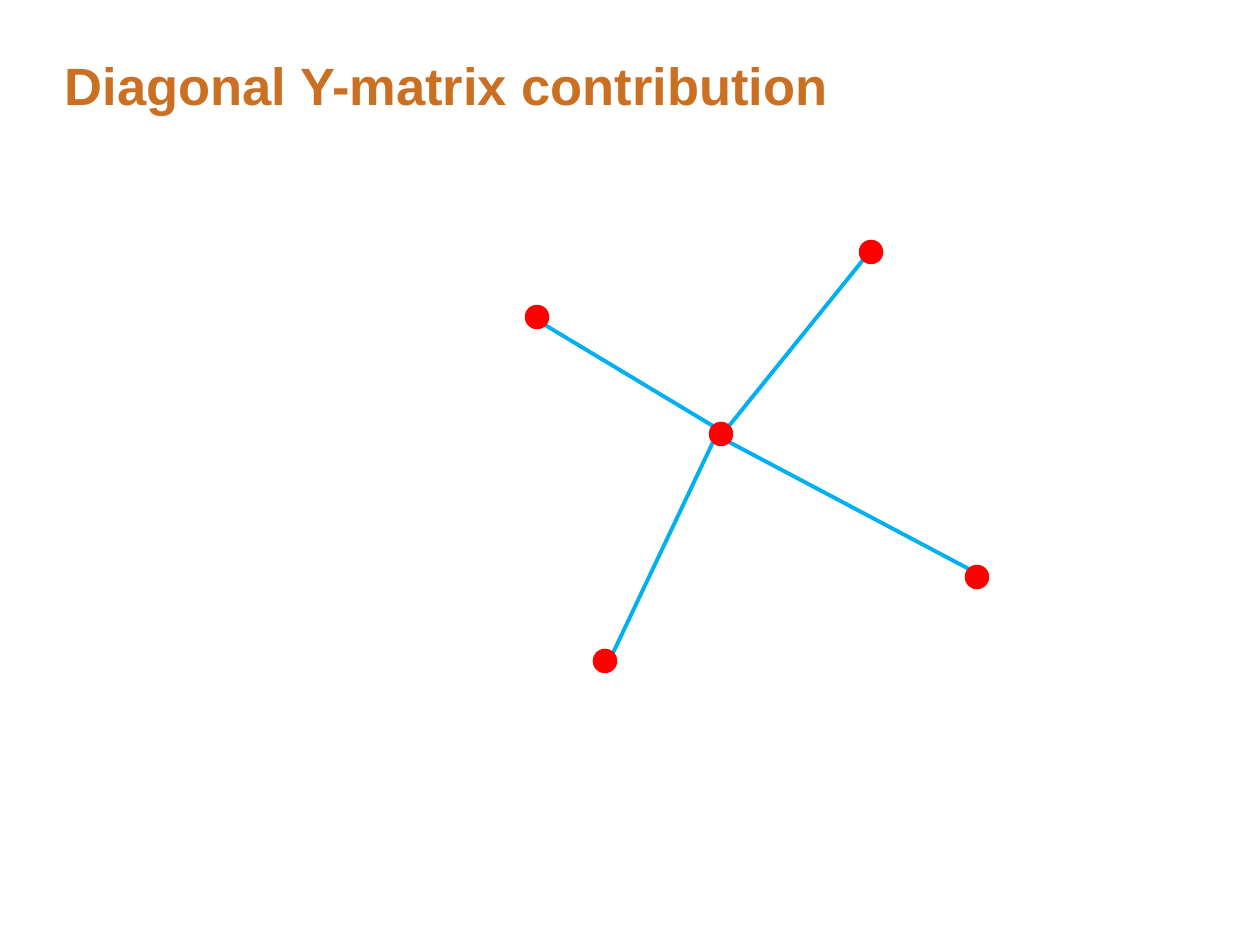
from math import copysign

from lxml import etree
from pptx import Presentation
from pptx.dml.color import RGBColor
from pptx.enum import shapes, text
from pptx.oxml import ns
from pptx import util as u

PX_PER_INCH = 126
COLORS = {"title": "CB7023", "node": "FF0000", "branch": "00B0F0"}
DIAMETER = 21
RIM_OFFSET = 8
HUB = (721, 434)
NEIGHBORS = [(871, 252), (977, 577), (605, 661), (537, 317)]


def px(length):
    """Turn pixels into EMU."""
    return u.Emu(round(length * 914400 / PX_PER_INCH))


def color(name):
    """Return a palette colour."""
    return RGBColor.from_string(COLORS[name])


def set_title(slide, wording):
    """Place and format the slide title."""
    title = slide.shapes.title
    title.left, title.top, title.width, title.height = map(px, (65, 63, 1130, 136))
    frame = title.text_frame
    frame.margin_left = frame.margin_top = frame.margin_right = frame.margin_bottom = 0
    frame.word_wrap = True
    frame.auto_size = text.MSO_AUTO_SIZE.NONE
    frame.vertical_anchor = text.MSO_ANCHOR.TOP
    paragraph = frame.paragraphs[0]
    paragraph.alignment = text.PP_ALIGN.LEFT
    paragraph.line_spacing = 0.85
    paragraph.space_before = u.Pt(0)
    run = paragraph.add_run()
    run.text = wording
    run.font.name = "Arial"
    run.font.size = u.Pt(30)
    run.font.bold = True
    run.font.color.rgb = color("title")


def add_node(slide, center):
    """Add a round network node around its center."""
    left, top = (px(value - DIAMETER / 2) for value in center)
    node = slide.shapes.add_shape(
        shapes.MSO_SHAPE.OVAL, left, top, px(DIAMETER), px(DIAMETER))
    node.shadow.inherit = False
    node.fill.solid()
    node.fill.fore_color.rgb = color("node")
    node.line.color.rgb = color("node")
    node.line.width = u.Pt(2)


def add_branch(slide, start, end):
    """Join the facing diagonal rim points of two nodes."""
    steps = [copysign(RIM_OFFSET, b - a) for a, b in zip(start, end)]
    begin = [px(value + step) for value, step in zip(start, steps)]
    finish = [px(value - step) for value, step in zip(end, steps)]
    branch = slide.shapes.add_connector(
        shapes.MSO_CONNECTOR.STRAIGHT, *begin, *finish)
    branch.line.color.rgb = color("branch")
    branch.line.width = u.Pt(2.25)
    etree.SubElement(branch._element.spPr, ns.qn("a:effectLst"))


def main():
    """Build and save the slide."""
    presentation = Presentation()
    presentation.slide_width = u.Inches(10)
    presentation.slide_height = u.Inches(7.5)
    slide = presentation.slides.add_slide(presentation.slide_layouts[5])
    set_title(slide, "Diagonal Y-matrix contribution")
    for neighbor in NEIGHBORS:
        add_branch(slide, HUB, neighbor)
    for center in [HUB, *NEIGHBORS]:
        add_node(slide, center)
    presentation.save("out.pptx")


if __name__ == "__main__":
    main()
